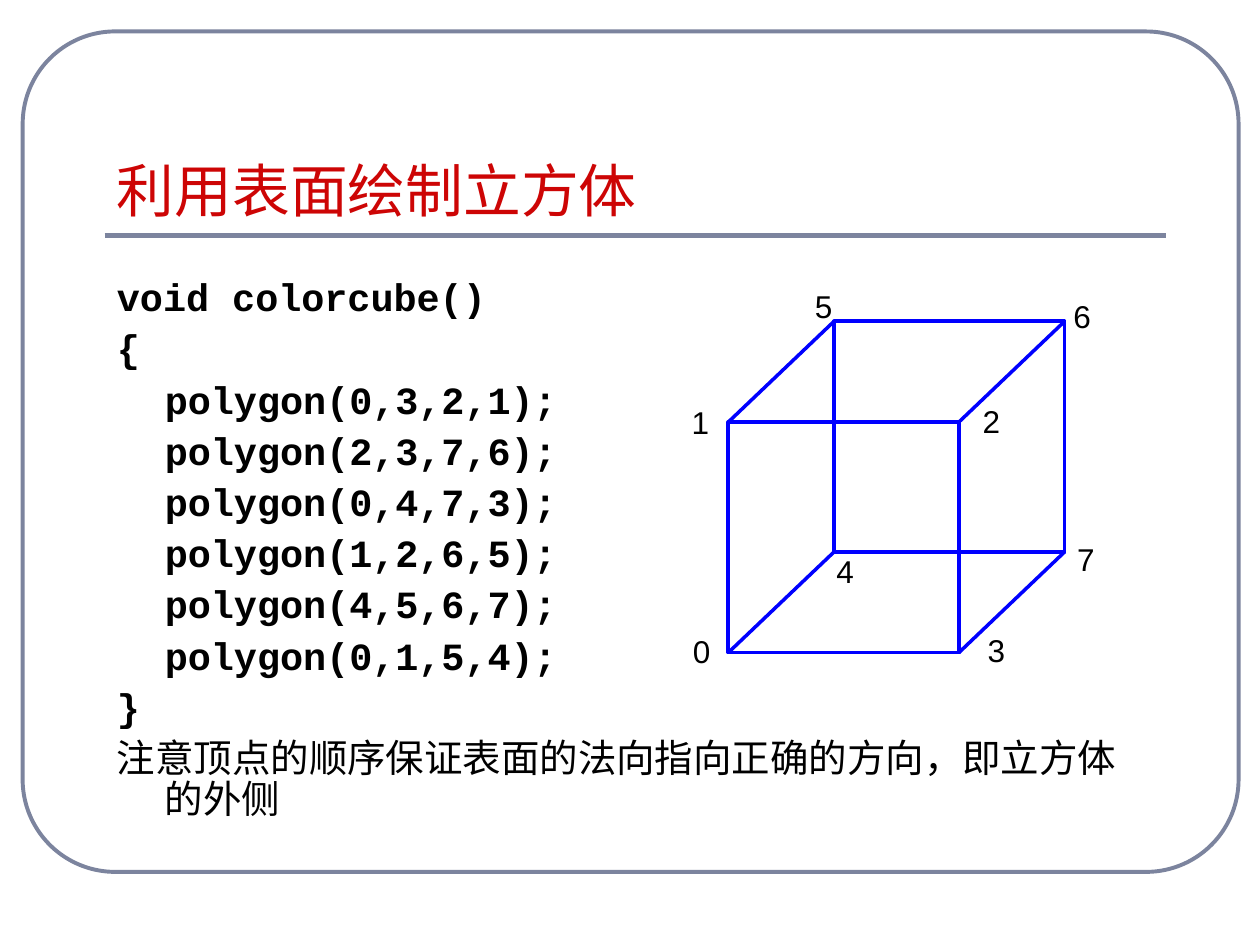
"""Build a slide on drawing a cube from its faces."""
from dataclasses import dataclass
from itertools import product

from lxml.etree import SubElement
from pptx import Presentation
from pptx.dml.color import RGBColor
from pptx.enum.shapes import MSO_CONNECTOR as Connector, MSO_SHAPE as Shape
from pptx.enum.text import MSO_ANCHOR as Anchor
from pptx.oxml.ns import qn
from pptx.util import Inches, Pt

COLORS = {"frame": "7C849E", "title": "CD0505", "text": "000000",
          "cube": "0000FF", "paper": "FFFFFF"}
SIDE = 1.83
FRONT = (5.78, 3.35)
BACK = (6.62, 2.55)
INDENT = 0.38
FACES = ["0,3,2,1", "2,3,7,6", "0,4,7,3", "1,2,6,5", "4,5,6,7", "0,1,5,4"]
NOTE = "注意顶点的顺序保证表面的法向指向正确的方向，即立方体的外侧"


@dataclass
class Vertex:
    """Number of a cube vertex and the corner of its label."""
    number: int
    left: float
    top: float


VERTICES = [
    Vertex(0, 5.4, 4.97), Vertex(1, 5.39, 3.15), Vertex(2, 7.7, 3.14),
    Vertex(3, 7.74, 4.96), Vertex(4, 6.54, 4.33), Vertex(5, 6.37, 2.23),
    Vertex(6, 8.42, 2.31), Vertex(7, 8.45, 4.24),
]


def rgb(name: str) -> RGBColor:
    """Look up a colour by name."""
    return RGBColor.from_string(COLORS[name])


def add_outline(slide, kind, left: float, top: float, width: float, height: float,
                color: str, weight: float):
    """Add an unfilled preset shape."""
    outline = slide.shapes.add_shape(
        kind, Inches(left), Inches(top), Inches(width), Inches(height))
    outline.shadow.inherit = False
    outline.fill.background()
    outline.line.color.rgb = rgb(color)
    outline.line.width = Pt(weight)
    return outline


def add_line(slide, start: tuple, end: tuple, color: str, weight: float) -> None:
    """Add a straight line without a shadow."""
    line = slide.shapes.add_connector(
        Connector.STRAIGHT, *(Inches(value) for value in (*start, *end)))
    line.line.color.rgb = rgb(color)
    line.line.width = Pt(weight)
    SubElement(line._element.spPr, qn("a:effectLst"))


def add_text(slide, lines: list, left: float, top: float, width: float, height: float, *,
             size: float, font: str, color: str = "text", wrap: bool = True,
             anchor=Anchor.TOP, inset_top: float = 0.05, bold_lines: int = 0,
             hanging: float = 0, spacing: float = 1, before: float = 0):
    """Add a text box with one paragraph for each line."""
    box = slide.shapes.add_textbox(
        Inches(left), Inches(top), Inches(width), Inches(height))
    frame = box.text_frame
    frame.word_wrap = wrap
    frame.vertical_anchor = anchor
    frame.margin_top = Inches(inset_top)
    for index, line in enumerate(lines):
        paragraph = frame.add_paragraph() if index else frame.paragraphs[0]
        paragraph.line_spacing = spacing
        paragraph.space_before = Pt(before if index else 0)
        if hanging:
            properties = paragraph._p.get_or_add_pPr()
            properties.set("marL", str(Inches(hanging)))
            properties.set("indent", str(-Inches(hanging)))
        run = paragraph.add_run()
        run.text = line
        run.font.size = Pt(size)
        run.font.name = font
        run.font.bold = index < bold_lines
        run.font.color.rgb = rgb(color)
    return box


def add_cube(slide) -> None:
    """Draw the wireframe cube with numbered vertices."""
    for left, top in (FRONT, BACK):
        add_outline(slide, Shape.RECTANGLE, left, top, SIDE, SIDE, "cube", 2)
    for dx, dy in product((0, SIDE), repeat=2):
        near, far = ((left + dx, top + dy) for left, top in (FRONT, BACK))
        add_line(slide, near, far, "cube", 2)
    for vertex in VERTICES:
        add_text(slide, [str(vertex.number)], vertex.left, vertex.top, 0.34, 0.4,
                 size=18, font="Arial", wrap=False)


def main() -> None:
    """Build and save the slide."""
    deck = Presentation()
    deck.slide_width, deck.slide_height = Inches(10), Inches(7.5)
    slide = deck.slides.add_slide(deck.slide_layouts[6])

    border = add_outline(slide, Shape.ROUNDED_RECTANGLE, 0.18, 0.25, 9.65, 6.67, "frame", 2.25)
    border.adjustments[0] = 0.11
    add_line(slide, (0.83, 1.87), (9.25, 1.87), "frame", 3)

    title = add_text(slide, ["利用表面绘制立方体"], 0.83, 0.58, 8.73, 1.25, size=33,
                     font="Montserrat", color="title", anchor=Anchor.BOTTOM)
    title.fill.solid()
    title.fill.fore_color.rgb = rgb("paper")

    code = ["void colorcube()", "{", *(f"\tpolygon({face});" for face in FACES), "}"]
    add_text(slide, [*code, NOTE], 0.83, 2.08, 8.42, 4.42, size=22, font="Courier New",
             inset_top=0.13, bold_lines=len(code), hanging=INDENT, spacing=0.9, before=5.5)
    add_cube(slide)
    deck.save("out.pptx")


if __name__ == "__main__":
    main()
